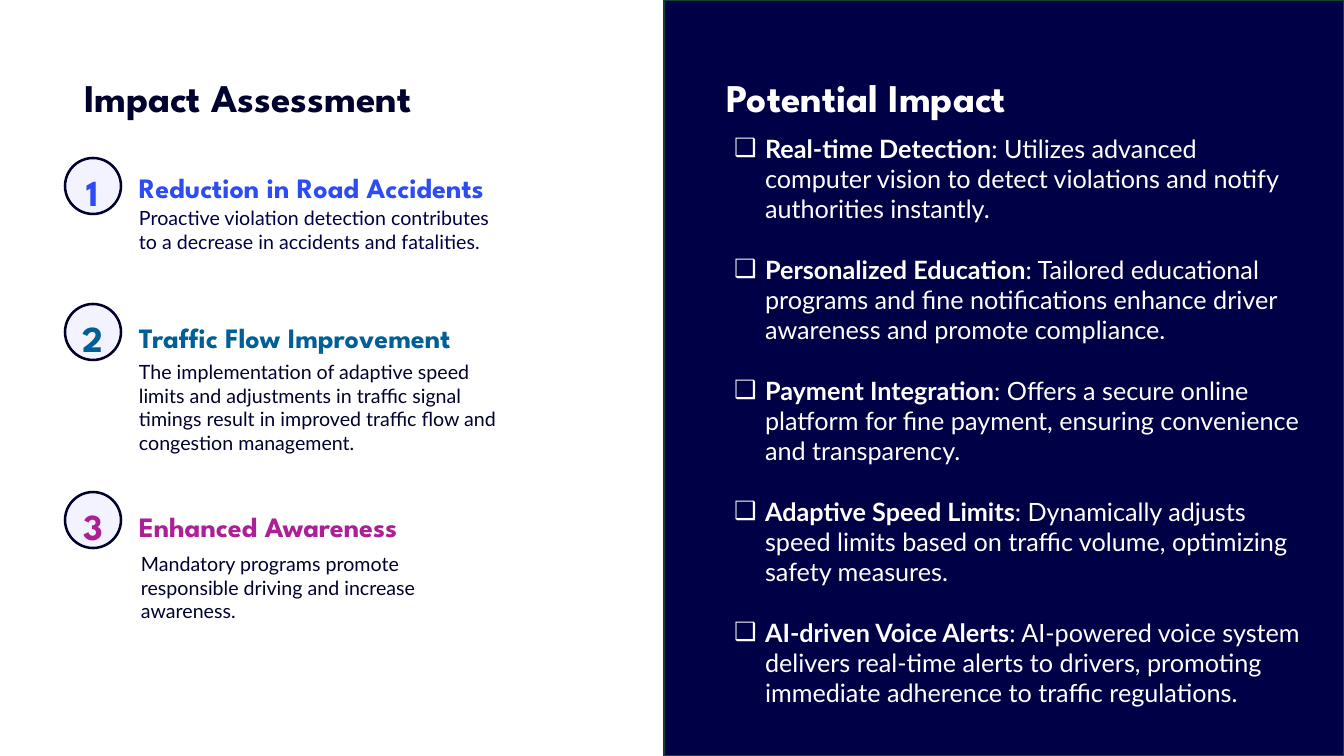
"""Build the impact assessment slide."""
from dataclasses import dataclass

from lxml import etree
from pptx import Presentation, util as u
from pptx.dml.color import RGBColor
from pptx.enum import shapes, text
from pptx.oxml.ns import qn

PX = 12192000 / 1344
HEAD, BODY = "League Spartan", "Lato"
COLORS = {
    "ink": "00002E", "navy": "000046", "white": "FFFFFF", "badge": "F3F3FF",
    "edge": "0D4335", "blue": "2D4DF2", "teal": "015F98", "magenta": "AD1F96",
}


@dataclass
class Outcome:
    number: str
    title: str
    detail: str
    color: str
    detail_color: str
    badge_y: int
    title_y: int
    detail_x: int
    detail_y: int
    detail_w: int


@dataclass
class Feature:
    name: str
    detail: str


OUTCOMES = [
    Outcome("1", "Reduction in Road Accidents",
            "Proactive violation detection contributes to a decrease in accidents and fatalities.",
            "blue", "navy", 158, 161, 129, 201, 381),
    Outcome("2", "Traffic Flow Improvement",
            "The implementation of adaptive speed limits and adjustments in traffic signal "
            "timings result in improved traffic flow and congestion management.",
            "teal", "ink", 304, 311, 129, 355, 388),
    Outcome("3", "Enhanced Awareness",
            "Mandatory programs promote responsible driving and increase awareness.",
            "magenta", "ink", 492, 500, 131, 547, 379),
]
FEATURES = [
    Feature("Real-time Detection",
            "Utilizes advanced computer vision to detect violations and notify authorities instantly."),
    Feature("Personalized Education",
            "Tailored educational programs and fine notifications enhance driver awareness "
            "and promote compliance."),
    Feature("Payment Integration",
            "Offers a secure online platform for fine payment, ensuring convenience and transparency."),
    Feature("Adaptive Speed Limits",
            "Dynamically adjusts speed limits based on traffic volume, optimizing safety measures."),
    Feature("AI-driven Voice Alerts",
            "AI-powered voice system delivers real-time alerts to drivers, promoting immediate "
            "adherence to traffic regulations."),
]


def px(n: int) -> u.Emu:
    return u.Emu(round(n * PX))


def rgb(name: str) -> RGBColor:
    return RGBColor.from_string(COLORS[name])


def write(p, content: str, *, size: float, color: str, font: str = BODY, bold: bool = False,
          line: float | None = None, align=text.PP_ALIGN.LEFT) -> None:
    p.alignment = align
    if line:
        p.line_spacing = u.Pt(line)
    r = p.add_run()
    r.text = content
    r.font.size, r.font.name, r.font.bold = u.Pt(size), font, bold
    r.font.color.rgb = rgb(color)


def prepare(sp, wrap: bool = True):
    tf = sp.text_frame
    tf.auto_size = text.MSO_AUTO_SIZE.NONE
    tf.vertical_anchor = text.MSO_ANCHOR.TOP
    tf.word_wrap = wrap
    return tf


def place(sp, x: int, y: int, w: int, h: int):
    sp.left, sp.top, sp.width, sp.height = px(x), px(y), px(w), px(h)
    return prepare(sp)


def add_text(parent, x: int, y: int, w: int, h: int, content: str, *,
             wrap: bool = True, **style) -> None:
    tf = prepare(parent.add_textbox(px(x), px(y), px(w), px(h)), wrap)
    write(tf.paragraphs[0], content, **style)


def add_box(parent, kind, x: int, y: int, w: int, h: int, fill: str, line: str, weight: float):
    sp = parent.add_shape(kind, px(x), px(y), px(w), px(h))
    sp.shadow.inherit = False
    sp.fill.solid()
    sp.fill.fore_color.rgb = rgb(fill)
    sp.line.color.rgb = rgb(line)
    sp.line.width = u.Pt(weight)
    return sp


def add_outcome(s, o: Outcome) -> None:
    badge = s.shapes.add_group_shape().shapes
    ring = add_box(badge, shapes.MSO_SHAPE.ROUNDED_RECTANGLE, 65, o.badge_y, 56, 56,
                   "badge", "ink", 1.8)
    ring.adjustments[0] = 0.5
    add_text(badge, 82, o.badge_y + 5, 22, 47, o.number, wrap=False, size=26.2, color=o.color,
             font=HEAD, bold=True, line=32.8, align=text.PP_ALIGN.CENTER)
    add_text(s.shapes, 129, o.title_y, 397, 47, o.title, size=20, color=o.color,
             font=HEAD, bold=True, line=27.3)
    add_text(s.shapes, o.detail_x, o.detail_y, o.detail_w, 57, o.detail, size=14,
             color=o.detail_color)


def add_bullet(p) -> None:
    pPr = p._p.get_or_add_pPr()
    pPr.set("marL", str(px(31)))
    pPr.set("indent", str(-px(31)))
    etree.SubElement(pPr, qn("a:buChar")).set("char", "❑")


def fill_features(tf) -> None:
    for i, feature in enumerate(FEATURES):
        p = tf.add_paragraph() if i else tf.paragraphs[0]
        add_bullet(p)
        p.space_before = u.Pt(21.6 if i else 0)
        write(p, feature.name, size=18, color="white", bold=True)
        write(p, f": {feature.detail}", size=18, color="white")


def main() -> None:
    prs = Presentation()
    prs.slide_width, prs.slide_height = px(1344), px(756)
    s = prs.slides.add_slide(prs.slide_layouts[1])
    heading = dict(size=28, font=HEAD, bold=True, line=54.7)

    panel = add_box(s.shapes, shapes.MSO_SHAPE.RECTANGLE, 664, 0, 680, 756, "navy", "edge", 1)
    s.shapes.element.insert(2, panel.element)

    title = place(s.shapes.title, 74, 39, 572, 81)
    write(title.paragraphs[0], "Impact Assessment", color="ink", **heading)
    for outcome in OUTCOMES:
        add_outcome(s, outcome)

    add_text(s.shapes, 717, 39, 442, 81, "Potential Impact", color="white", **heading)
    fill_features(place(s.placeholders[1], 724, 128, 590, 591))
    prs.save("out.pptx")


if __name__ == "__main__":
    main()
